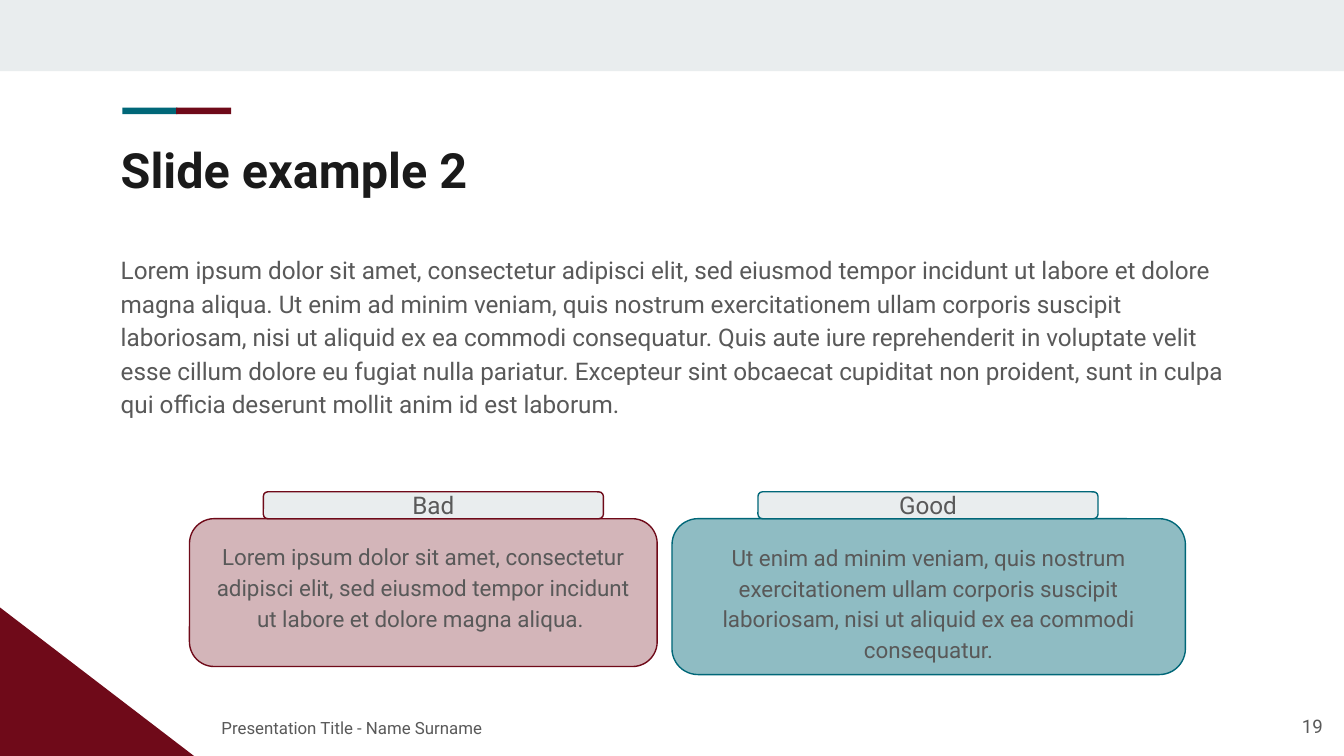
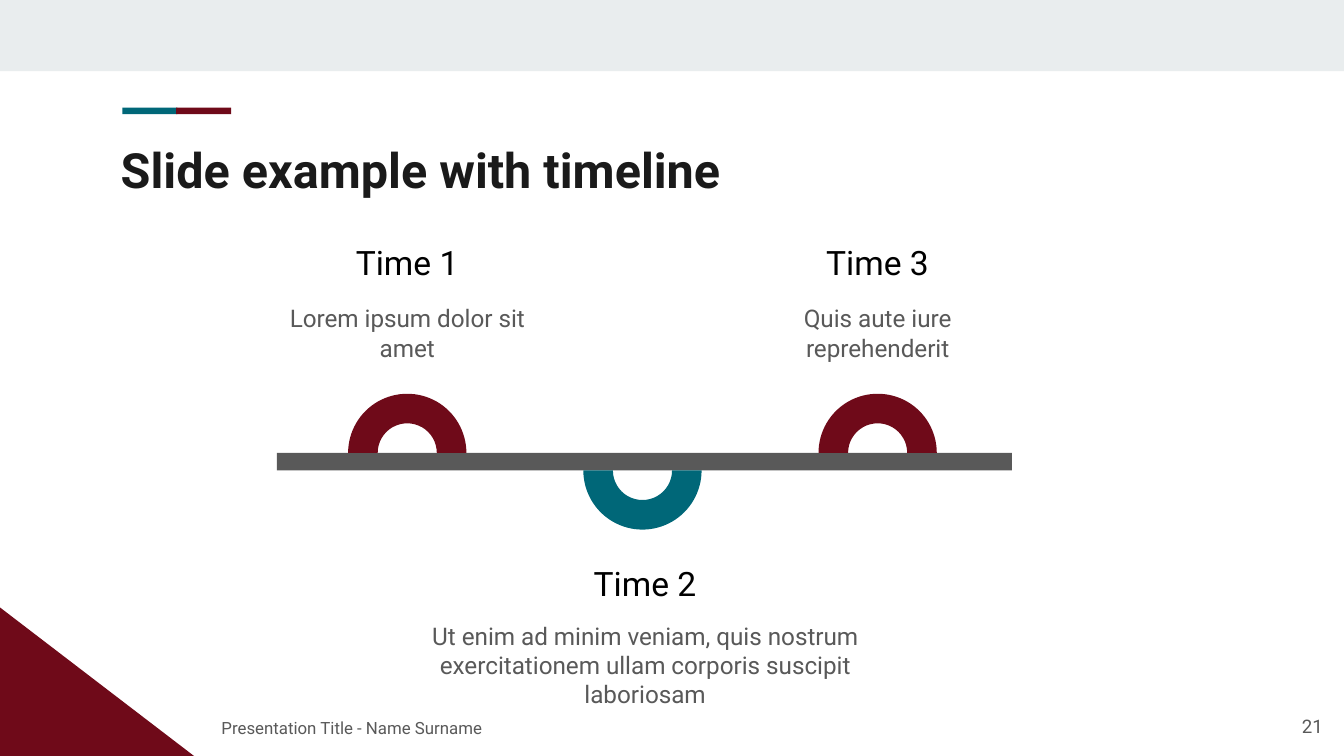
import pptx
import pptx.util
import pptx.dml.color
import pptx.enum.shapes
import pptx.enum.text
import pptx.oxml
import pptx.oxml.ns

Inches = pptx.util.Inches
RGB = pptx.dml.color.RGBColor
Kind = pptx.enum.shapes.MSO_SHAPE
Align = pptx.enum.text.PP_ALIGN
Anchor = pptx.enum.text.MSO_ANCHOR

# Colours
RED = RGB(0x6F, 0x0A, 0x19)
TEAL = RGB(0x00, 0x67, 0x78)
PALE = RGB(0xE9, 0xED, 0xEE)
GREY = RGB(0x59, 0x59, 0x59)
INK = RGB(0x1A, 0x1A, 0x1A)
BLACK = RGB(0, 0, 0)

# Content
FOOT = "Presentation Title - Name Surname"
BODY = (
    "Lorem ipsum dolor sit amet, consectetur adipisci elit, sed eiusmod "
    "tempor incidunt ut labore et dolore magna aliqua. Ut enim ad minim "
    "veniam, quis nostrum exercitationem ullam corporis suscipit laboriosam, "
    "nisi ut aliquid ex ea commodi consequatur. Quis aute iure reprehenderit "
    "in voluptate velit esse cillum dolore eu fugiat nulla pariatur. "
    "Excepteur sint obcaecat cupiditat non proident, sunt in culpa qui "
    "officia deserunt mollit anim id est laborum."
)
# label, text, colour, opacity %, tab left, card left, card width, card height
CARDS = [
    ("Bad", "Lorem ipsum dolor sit amet, consectetur adipisci elit, sed "
     "eiusmod tempor incidunt ut labore et dolore magna aliqua. ",
     RED, 30, 1.96, 1.41, 3.48, 1.1),
    ("Good", "Ut enim ad minim veniam, quis nostrum exercitationem ullam "
     "corporis suscipit laboriosam, nisi ut aliquid ex ea commodi "
     "consequatur.", TEAL, 44, 5.64, 5, 3.82, 1.16),
]
# label, text, colour, text width, is above the bar
TIMES = [
    ("Time 1", "Lorem ipsum dolor sit amet", RED, 2.01, True),
    ("Time 2", "Ut enim ad minim veniam, quis nostrum exercitationem ullam "
     "corporis suscipit laboriosam", TEAL, 4, False),
    ("Time 3", "Quis aute iure reprehenderit", RED, 2.01, True),
]

# Text styles: font values, paragraph values
CENTER = {"alignment": Align.CENTER}
LOOSE = {"line_spacing": 1.15, "space_after": pptx.util.Pt(16)}
STYLES = {
    "title": ({"size": 26, "bold": True, "color": INK}, {}),
    "body": ({"size": 13}, LOOSE),
    "foot": ({"size": 9}, LOOSE),
    "page": ({"size": 10}, {"alignment": Align.RIGHT}),
    "card": ({"size": 12}, {**LOOSE, **CENTER}),
    "note": ({"size": 13}, CENTER),
    "time": ({"size": 18, "color": BLACK}, CENTER),
}


def write(shape, text, style, anchor=Anchor.TOP):
    """Fill a shape's text frame in a named style."""
    frame = shape.text_frame
    setup = {"word_wrap": True, "vertical_anchor": anchor}
    for side in ("left", "top", "right", "bottom"):
        setup["margin_" + side] = Inches(0.1)
    for key, value in setup.items():
        setattr(frame, key, value)
    font, para = STYLES[style]
    line = frame.paragraphs[0]
    for key, value in para.items():
        setattr(line, key, value)
    run = line.add_run()
    run.text = text
    look = {"name": "Roboto", "bold": False, **font}
    look["size"] = pptx.util.Pt(look["size"])
    run.font.color.rgb = look.pop("color", GREY)
    for key, value in look.items():
        setattr(run.font, key, value)


def label(slide, box, text, style, anchor=Anchor.TOP):
    write(slide.shapes.add_textbox(*map(Inches, box)), text, style, anchor)


def draw(slide, kind, box, fill, line=None, alpha=None, adjust=()):
    """Add a flat preset shape."""
    shape = slide.shapes.add_shape(kind, *map(Inches, box))
    shape.shadow.inherit = False
    shape.fill.solid()
    shape.fill.fore_color.rgb = fill
    if alpha is not None:
        tint = shape.fill._xPr.find(".//" + pptx.oxml.ns.qn("a:srgbClr"))
        tint.append(pptx.oxml.parse_xml(
            f'<a:alpha {pptx.oxml.ns.nsdecls("a")} val="{alpha * 1000}"/>'))
    if line is None:
        shape.line.fill.background()
    else:
        shape.line.color.rgb = line
        shape.line.width = pptx.util.Pt(0.75)
    for i, value in enumerate(adjust):
        shape.adjustments[i] = value
    return shape


def start(deck, title, page):
    """Add a slide with the shared band, corner, title and footer."""
    slide = deck.slides.add_slide(deck.slide_layouts[6])
    draw(slide, Kind.RECTANGLE, (0, 0, 10, 0.53), PALE)
    draw(slide, Kind.RIGHT_TRIANGLE, (0, 4.52, 1.45, 1.11), RED)
    for left, color in ((0.91, TEAL), (1.31, RED)):
        draw(slide, Kind.RECTANGLE, (left, 0.8, 0.41, 0.05), color)
    label(slide, (0.8, 0.94, 8.41, 0.59), title, "title")
    label(slide, (9.34, 5.19, 0.6, 0.43), page, "page", Anchor.MIDDLE)
    label(slide, (1.55, 5.23, 6.4, 0.37), FOOT, "foot")
    return slide


def compare(deck):
    """Body text over two labelled cards."""
    slide = start(deck, "Slide example 2", "19")
    label(slide, (0.8, 1.77, 8.59, 1.72), BODY, "body")
    top, tall = 3.86, 0.2
    for name, text, color, alpha, tab, left, width, height in CARDS:
        card = draw(slide, Kind.ROUNDED_RECTANGLE, (left, top, width, height),
                    color, color, alpha, [0.167])
        write(card, text, "card")
        head = draw(slide, Kind.ROUNDED_RECTANGLE,
                    (tab, top - tall, 2.53, tall), PALE, color,
                    adjust=[0.167])
        write(head, name, "note", Anchor.MIDDLE)


def timeline(deck):
    """Arcs alternating above and below a bar."""
    slide = start(deck, "Slide example with timeline", "21")
    bar, thick, size = 3.37, 0.13, 0.88
    first, step = 3.03, 1.75
    draw(slide, Kind.RECTANGLE, (2.06, bar, 5.47, thick), GREY)
    for i, (name, text, color, width, above) in enumerate(TIMES):
        mid = first + i * step
        edge = bar if above else bar + thick
        arc = draw(slide, Kind.BLOCK_ARC,
                   (mid - size / 2, edge - size / 2, size, size),
                   color, adjust=[108, 0, 0.25])
        arc.rotation = 0 if above else 180
        # Text below the bar sits slightly right of its arc
        heart = mid if above else mid + 0.02
        top, gap = (1.7, 0.46) if above else (4.09, 0.43)
        label(slide, (heart - 1.45, top, 2.9, 0.43), name, "time")
        label(slide, (heart - width / 2, top + gap, width, 0.63), text, "note")


def main():
    deck = pptx.Presentation()
    deck.slide_width = Inches(10)
    deck.slide_height = deck.slide_width * 9 // 16
    compare(deck)
    timeline(deck)
    deck.save("out.pptx")


if __name__ == "__main__":
    main()
